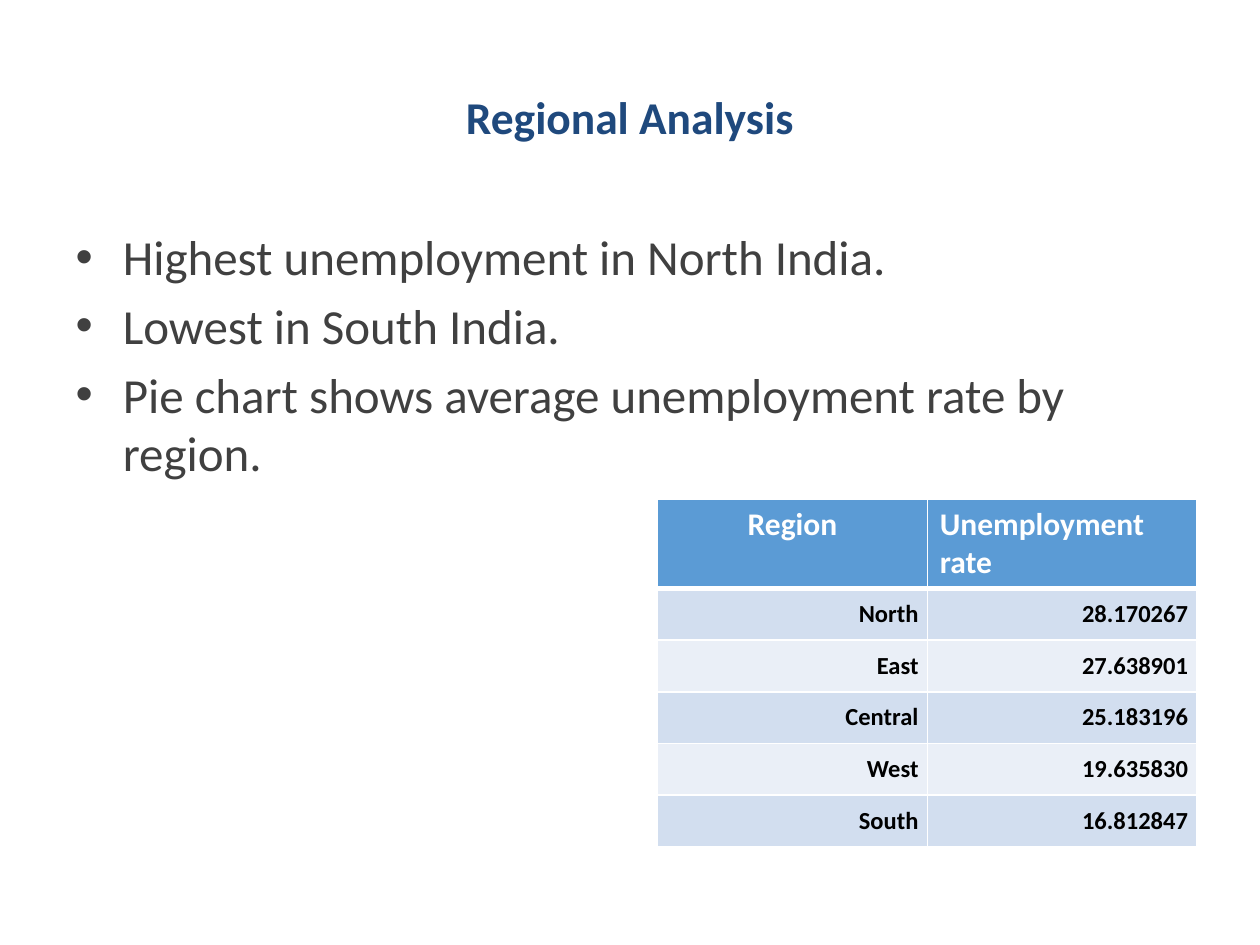
from lxml.etree import SubElement
from pptx import Presentation
from pptx.dml.color import RGBColor
from pptx.enum.text import MSO_ANCHOR, PP_ALIGN
from pptx.oxml.ns import qn
from pptx.util import Inches, Pt

# Content
TITLE = "Regional Analysis"
BULLETS = [
    "Highest unemployment in North India.",
    "Lowest in South India.",
    "Pie chart shows average unemployment rate by region.",
]
HEADER = ("Region", "Unemployment rate")
RATES = [
    ("North", "28.170267"),
    ("East", "27.638901"),
    ("Central", "25.183196"),
    ("West", "19.635830"),
    ("South", "16.812847"),
]

THEME = {
    "font": "Calibri",
    "title": (26, "1F497D", True),
    "body": (28, "404040", False),
    "header": (18, "FFFFFF", True),
    "cell": (14, "000000", True),
    "header_fill": "5B9BD5",
    "bands": ("D2DEEF", "EAEFF7"),
    "border": "FFFFFF",
}
HEADER_H, ROW_H, COL_W = 0.7, 0.41, 2.14


def add_text(p, text, style):
    size, color, bold = THEME[style]
    r = p.add_run()
    r.text = text
    r.font.name = THEME["font"]
    r.font.size = Pt(size)
    r.font.bold = bold
    r.font.color.rgb = RGBColor.from_string(color)


def place(sp, left, top, width, height):
    sp.left, sp.top = Inches(left), Inches(top)
    sp.width, sp.height = Inches(width), Inches(height)


def set_borders(cell, top, bottom):
    tcPr = cell._tc.get_or_add_tcPr()
    for side, width in (("L", 1), ("R", 1), ("T", top), ("B", bottom)):
        ln = SubElement(tcPr, qn(f"a:ln{side}"), w=str(Pt(width)))
        fill = SubElement(ln, qn("a:solidFill"))
        SubElement(fill, qn("a:srgbClr"), val=THEME["border"])


prs = Presentation()
prs.slide_width, prs.slide_height = Inches(10), Inches(7.5)
s = prs.slides.add_slide(prs.slide_layouts[1])

# Title
title = s.shapes.title
place(title, 0.5, 0.3, 9, 1.25)
p = title.text_frame.paragraphs[0]
p.alignment = PP_ALIGN.CENTER
add_text(p, TITLE, "title")

# Findings
body = s.placeholders[1]
place(body, 0.5, 1.75, 9, 2.21)
tf = body.text_frame
for i, text in enumerate(BULLETS):
    p = tf.add_paragraph() if i else tf.paragraphs[0]
    add_text(p, text, "body")

# Table of regional rates
rows = [HEADER, *RATES]
heights = [HEADER_H] + [ROW_H] * len(RATES)
table = s.shapes.add_table(
    len(rows), len(HEADER), Inches(5.22), Inches(3.96),
    Inches(COL_W * len(HEADER)), Inches(sum(heights))).table
for col in table.columns:
    col.width = Inches(COL_W)
for i, (values, height) in enumerate(zip(rows, heights)):
    table.rows[i].height = Inches(height)
    for j, value in enumerate(values):
        cell = table.cell(i, j)
        p = cell.text_frame.paragraphs[0]
        if i == 0:
            style, fill = "header", THEME["header_fill"]
            p.alignment = PP_ALIGN.LEFT if j else PP_ALIGN.CENTER
        else:
            style, fill = "cell", THEME["bands"][(i - 1) % 2]
            p.alignment = PP_ALIGN.RIGHT
            cell.vertical_anchor = MSO_ANCHOR.MIDDLE
            cell.margin_left = cell.margin_right = Inches(0.07)
            cell.margin_top = cell.margin_bottom = Inches(0.07)
        add_text(p, value, style)
        set_borders(cell, top=3 if i == 1 else 1, bottom=3 if i == 0 else 1)
        cell.fill.solid()
        cell.fill.fore_color.rgb = RGBColor.from_string(fill)

prs.save("out.pptx")
